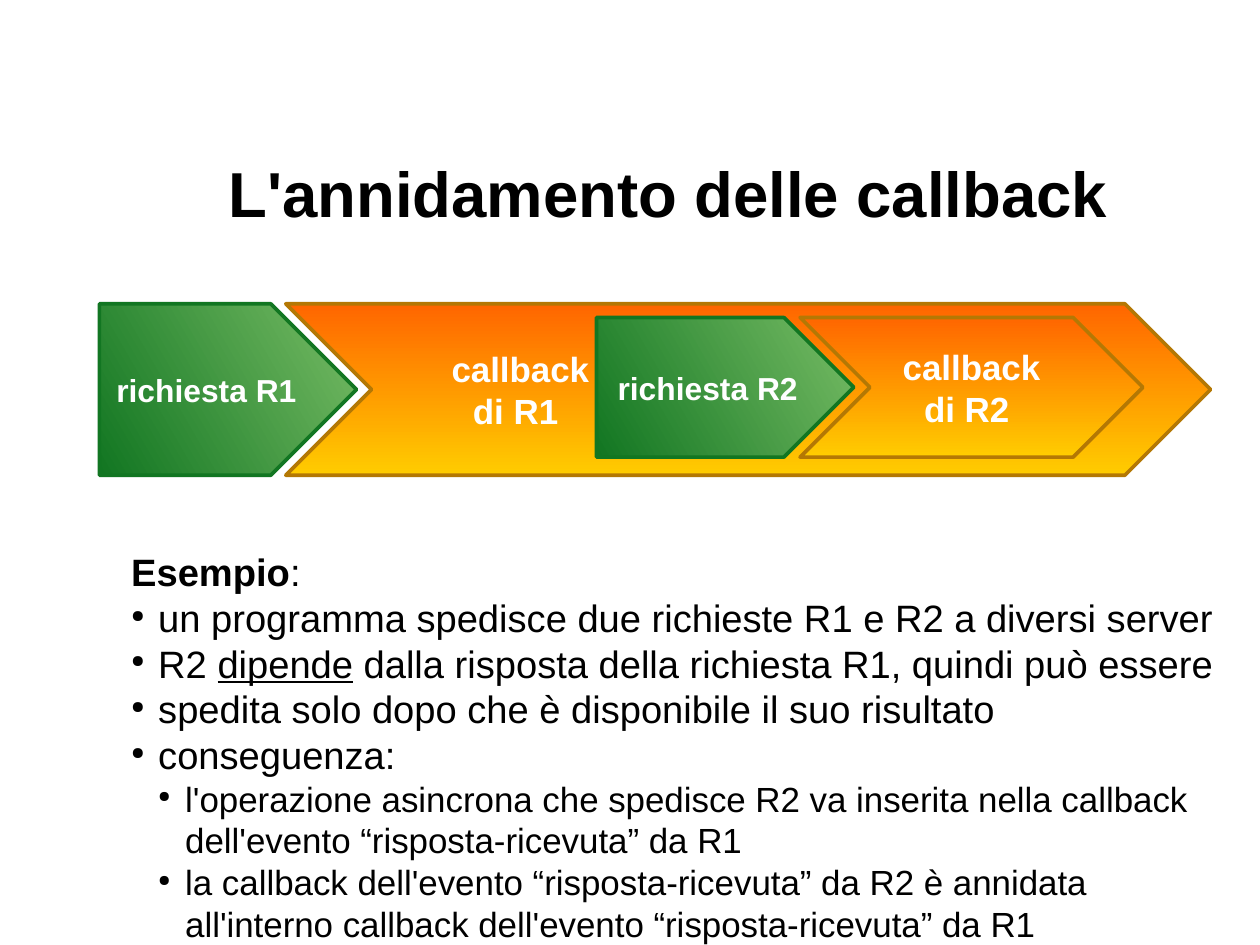
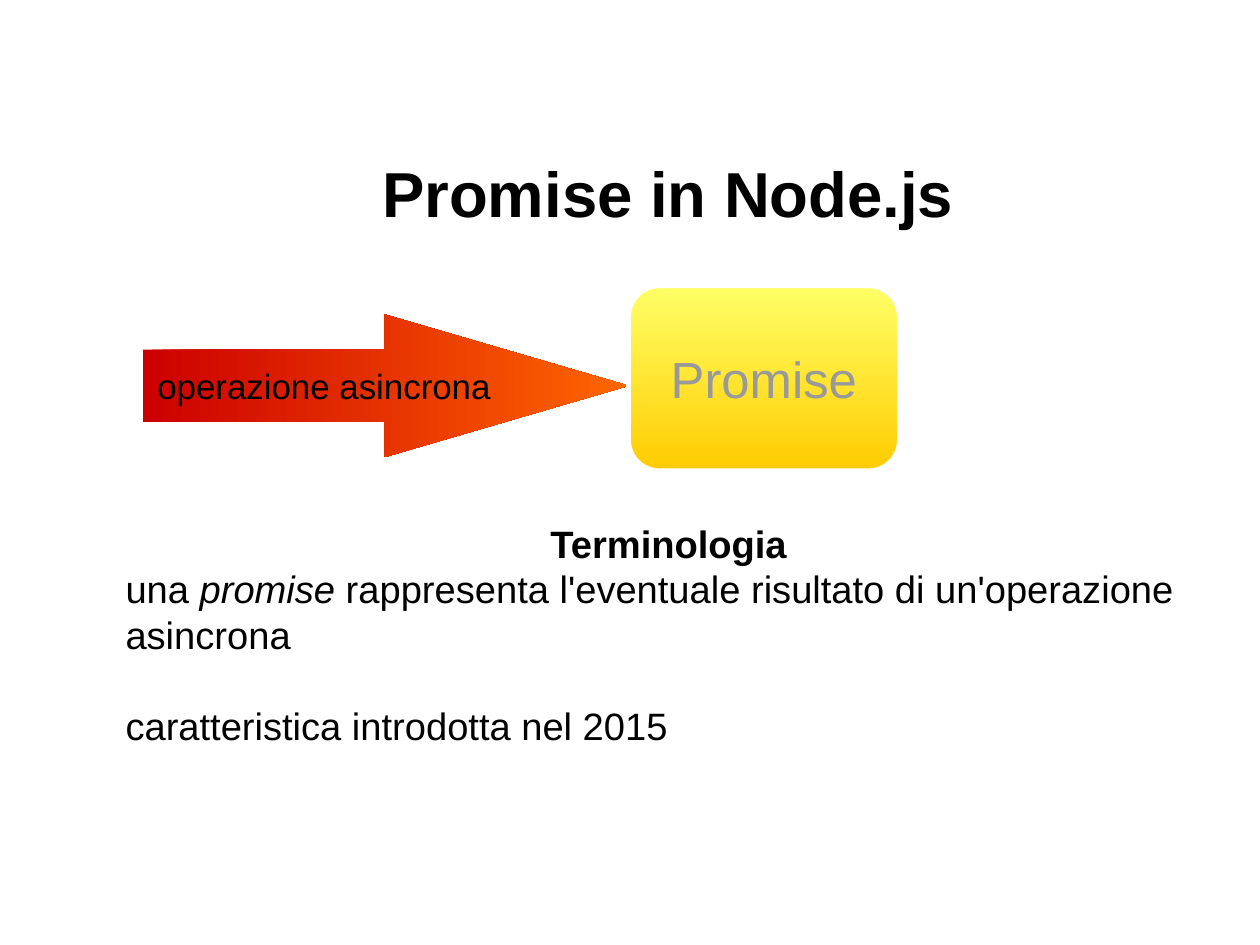
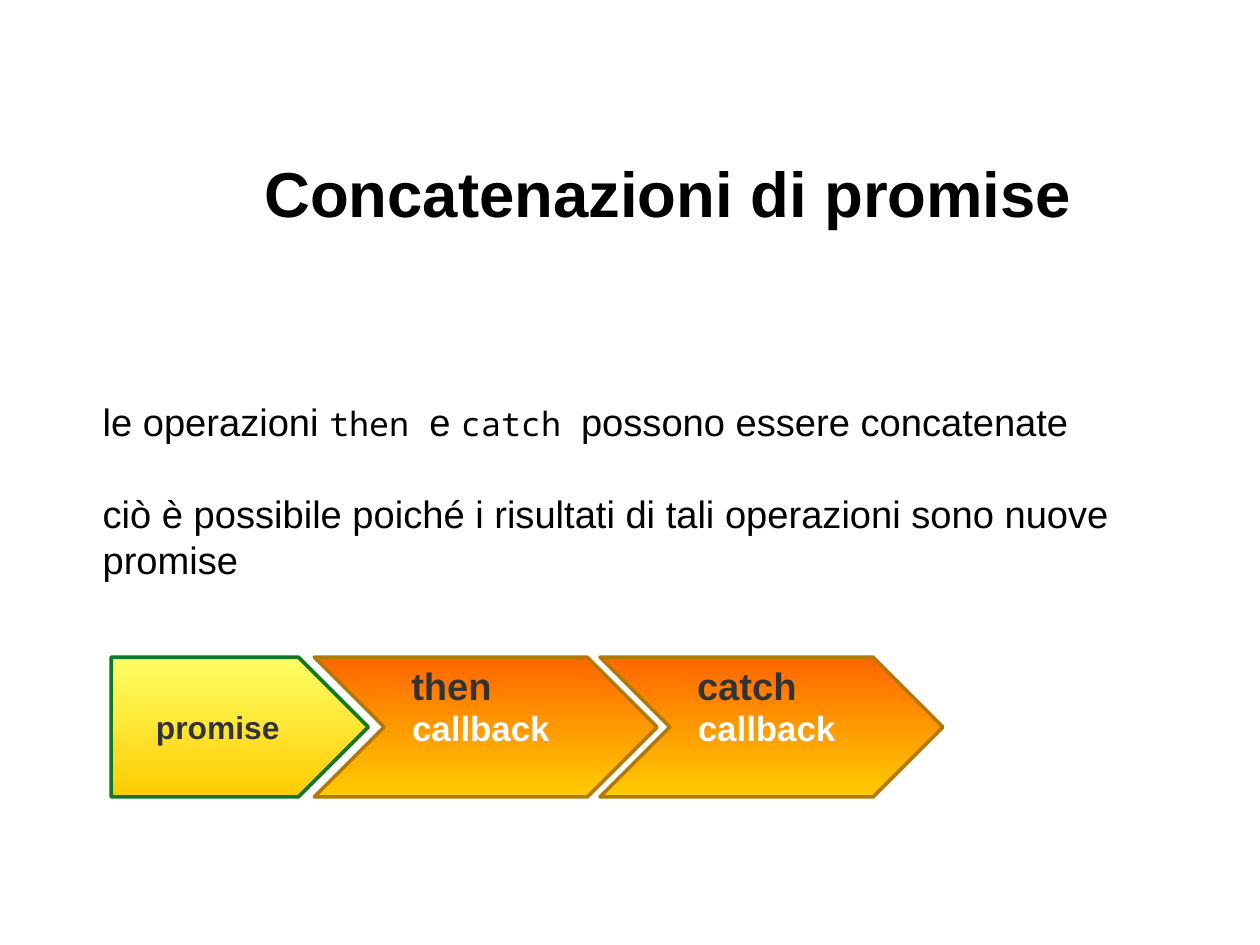
from dataclasses import dataclass

from lxml.etree import SubElement
from pptx import Presentation
from pptx.dml.color import RGBColor
from pptx.enum.shapes import MSO_SHAPE as Preset
from pptx.enum.text import MSO_ANCHOR as Anchor, MSO_AUTO_SIZE as AutoSize, PP_ALIGN as Align
from pptx.oxml.ns import qn
from pptx.util import Pt

COLORS = {
    "black": "000000", "white": "FFFFFF", "charcoal": "333333", "gray": "999999",
    "leaf": "77BC65", "green": "127622", "orange": "FF6600", "gold": "FFCC00",
    "yellow": "FFFF66", "red": "CC0000", "brown": "B47804",
}
FONT = "Arial"
MONO = "Noto Sans Mono"
BODY_SIZE = 24
BODY_WIDTH = 698.4
BLANK_LINE = 28.8
INDENT = 17


@dataclass(frozen=True)
class Span:
    text: str
    size: float = BODY_SIZE
    color: str = "black"
    bold: bool = False
    italic: bool = False
    underline: bool = False
    font: str = FONT


@dataclass(frozen=True)
class Para:
    spans: tuple[Span, ...]
    align: Align = Align.LEFT
    bullet_level: int = 0
    before: float = 0
    line_spacing: float | None = None


@dataclass(frozen=True)
class Look:
    preset: Preset
    start: str
    end: str
    angle: float
    line: str | None
    size: float
    ink: str
    bold: bool = True
    line_width: float = 2.3
    adjustments: tuple[float, ...] = (0.5,)


@dataclass(frozen=True)
class Step:
    look: Look
    left: float
    top: float
    width: float
    height: float
    lines: tuple[str, ...]
    right_inset: float = 8


REQUEST = Look(Preset.PENTAGON, "leaf", "green", 210, "green", 20, "white")
CALLBACK = Look(Preset.CHEVRON, "orange", "gold", 270, "brown", 22, "white")
PROMISE = Look(Preset.PENTAGON, "yellow", "gold", 270, "green", 20, "charcoal")
RESULT = Look(Preset.ROUNDED_RECTANGLE, "yellow", "gold", 270, "white", 32, "gray",
              False, 3, (0.167,))
OPERATION = Look(Preset.RIGHT_ARROW, "red", "orange", 0, None, 22, "black",
                 False, 0, (0.506, 1.709))


def rgb(name: str) -> RGBColor:
    return RGBColor.from_string(COLORS[name])


def plain(text: str, **style) -> Para:
    return Para((Span(text),), **style)


def add_bullet(paragraph, level: int) -> None:
    paragraph.level = level - 1
    properties = paragraph._p.get_or_add_pPr()
    properties.set("marL", str(Pt(INDENT * level)))
    properties.set("indent", str(Pt(-INDENT)))
    color = SubElement(properties, qn("a:buClr"))
    SubElement(color, qn("a:srgbClr"), val=COLORS["black"])
    SubElement(properties, qn("a:buSzPct"), val="45000")
    SubElement(properties, qn("a:buChar"), char="●")


def write(frame, paras: list[Para]) -> None:
    for index, para in enumerate(paras):
        paragraph = frame.paragraphs[0] if index == 0 else frame.add_paragraph()
        paragraph.alignment = para.align
        paragraph.space_before = Pt(para.before)
        if para.line_spacing:
            paragraph.line_spacing = para.line_spacing
        if para.bullet_level:
            add_bullet(paragraph, para.bullet_level)
        for span in para.spans:
            run = paragraph.add_run()
            run.text = span.text
            font = run.font
            font.name, font.size = span.font, Pt(span.size)
            font.bold, font.italic, font.underline = span.bold, span.italic, span.underline
            font.color.rgb = rgb(span.color)


def set_insets(frame, left: float, top: float, right: float, bottom: float) -> None:
    frame.margin_left, frame.margin_top = Pt(left), Pt(top)
    frame.margin_right, frame.margin_bottom = Pt(right), Pt(bottom)


def add_text(slide, left: float, top: float, width: float, height: float, paras: list[Para]):
    frame = slide.shapes.add_textbox(Pt(left), Pt(top), Pt(width), Pt(height)).text_frame
    frame.word_wrap = True
    frame.auto_size = AutoSize.SHAPE_TO_FIT_TEXT
    set_insets(frame, 7.2, 3.6, 7.2, 3.6)
    write(frame, paras)
    return frame


def add_titled_slide(deck, title: str):
    slide = deck.slides.add_slide(deck.slide_layouts[6])
    heading = Para((Span(title, 40, bold=True),), Align.CENTER, line_spacing=0.93)
    frame = add_text(slide, 90.7, 100, 660, 44.6, [heading])
    frame.auto_size = AutoSize.NONE
    frame.vertical_anchor = Anchor.MIDDLE
    set_insets(frame, 0, 3, 0, 0)
    return slide


def add_step(slide, step: Step) -> None:
    look = step.look
    shape = slide.shapes.add_shape(
        look.preset, Pt(step.left), Pt(step.top), Pt(step.width), Pt(step.height))
    shape.shadow.inherit = False
    for index, value in enumerate(look.adjustments):
        shape.adjustments[index] = value
    shape.fill.gradient()
    shape.fill.gradient_angle = look.angle
    for stop, name in zip(shape.fill.gradient_stops, (look.start, look.end)):
        stop.color.rgb = rgb(name)
    if look.line:
        shape.line.color.rgb = rgb(look.line)
        shape.line.width = Pt(look.line_width)
        SubElement(shape.element.spPr.find(qn("a:ln")), qn("a:round"))
    else:
        shape.line.fill.background()
    frame = shape.text_frame
    frame.word_wrap = True
    frame.vertical_anchor = Anchor.MIDDLE
    set_insets(frame, 8, 4.3, step.right_inset, 4.3)
    write(frame, [Para((Span(line, look.size, look.ink, look.bold),), Align.CENTER)
                  for line in step.lines])


def build_nesting(deck) -> None:
    slide = add_titled_slide(deck, "L'annidamento delle callback")
    add_text(slide, 75.6, 342, BODY_WIDTH, 266.4, [
        Para((Span("Esempio", bold=True), Span(":"))),
        plain("un programma spedisce due richieste R1 e R2 a diversi server", bullet_level=1),
        Para((Span("R2 "), Span("dipende", underline=True),
              Span(" dalla risposta della richiesta R1, quindi può essere")), bullet_level=1),
        plain("spedita solo dopo che è disponibile il suo risultato", bullet_level=1),
        plain("conseguenza:", bullet_level=1),
        *(Para((Span(text, 22),), bullet_level=2) for text in (
            "l'operazione asincrona che spedisce R2 va inserita nella callback "
            "dell'evento “risposta-ricevuta” da R1",
            "la callback dell'evento “risposta-ricevuta” da R2 è annidata "
            "all'interno callback dell'evento “risposta-ricevuta” da R1")),
    ])
    for step in (
        Step(REQUEST, 62.6, 191.4, 162, 108, ("richiesta R1",)),
        Step(CALLBACK, 180, 191.4, 582.6, 108, ("callback", "di R1 "), 295),
        Step(REQUEST, 375.8, 200, 162, 88, ("richiesta R2",)),
        Step(CALLBACK, 504, 200, 216, 88, ("callback", "di R2 ")),
    ):
        add_step(slide, step)


def build_promise(deck) -> None:
    slide = add_titled_slide(deck, "Promise in Node.js")
    add_text(slide, 72, 324, BODY_WIDTH, 141, [
        Para((Span("Terminologia", bold=True),), Align.CENTER),
        Para((Span("una "), Span("promise", italic=True),
              Span(" rappresenta l'eventuale risultato di un'operazione asincrona"))),
        plain("caratteristica introdotta nel 2015", before=BLANK_LINE),
    ])
    add_step(slide, Step(OPERATION, 90, 198, 306, 90, ("operazione asincrona",)))
    add_step(slide, Step(RESULT, 396, 180, 170.6, 116.6, ("Promise",)))


def build_chain(deck) -> None:
    slide = add_titled_slide(deck, "Concatenazioni di promise")
    add_text(slide, 57.6, 247.7, BODY_WIDTH, 275, [
        Para((Span("le operazioni "), Span("then ", 21, font=MONO), Span("e "),
              Span("catch ", 21, font=MONO), Span("possono essere concatenate"))),
        plain("ciò è possibile poiché i risultati di tali operazioni sono nuove promise",
              before=BLANK_LINE),
    ])
    top, height, first, pitch = 414, 88, 198, 180
    add_step(slide, Step(PROMISE, 70, top, 162, height, ("promise ",)))
    for index, method in enumerate(("then", "catch")):
        left = first + index * pitch
        add_step(slide, Step(CALLBACK, left, top, 216, height, ("callback ",)))
        add_text(slide, left + 54, top, 90, 34,
                 [Para((Span(method, color="charcoal", bold=True),))])


def main() -> None:
    deck = Presentation()
    deck.slide_width, deck.slide_height = Pt(793.7), Pt(595.28)
    for build in (build_nesting, build_promise, build_chain):
        build(deck)
    deck.save("out.pptx")


if __name__ == "__main__":
    main()
